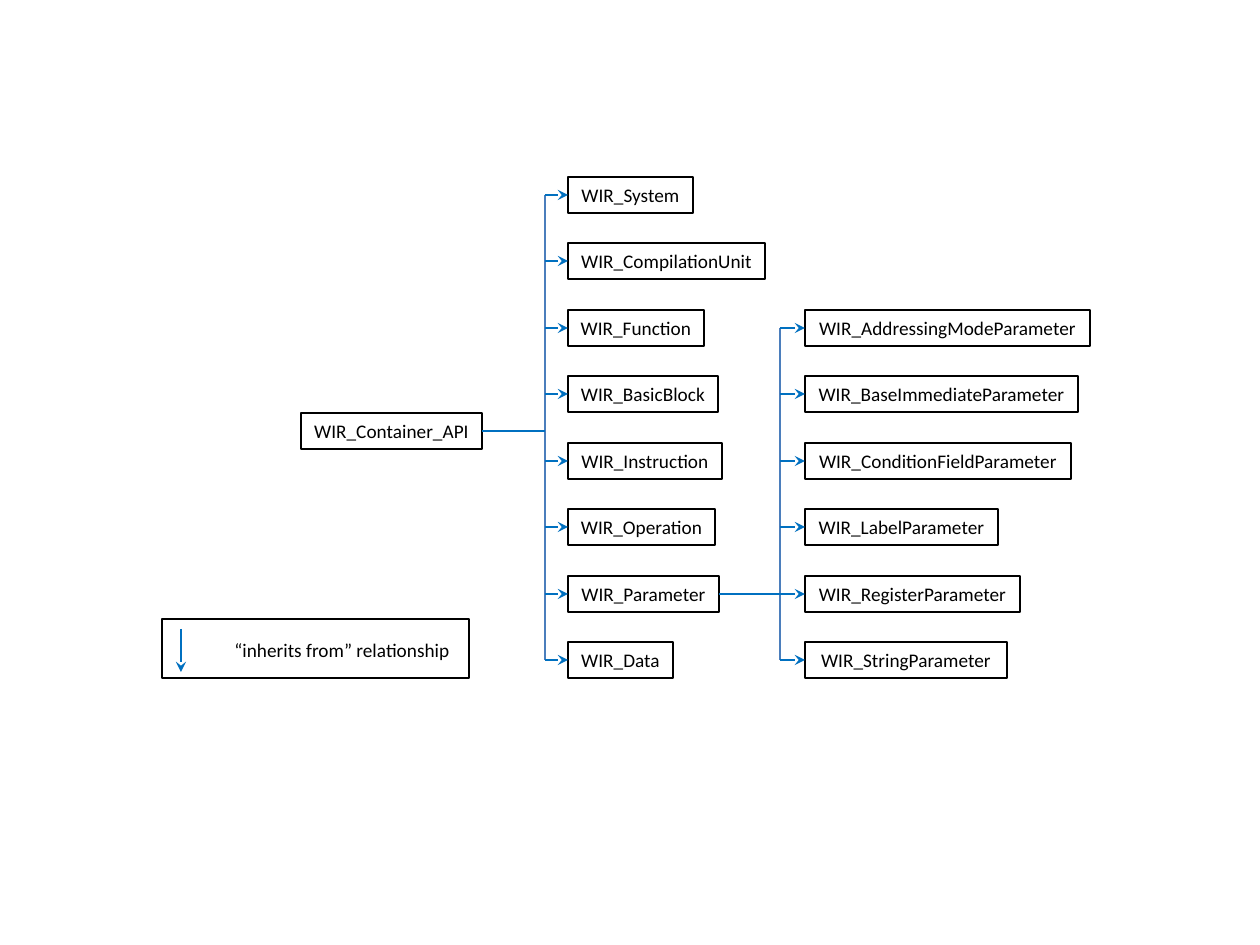
from lxml import etree
from pptx import Presentation
from pptx import util as u
from pptx.dml.color import RGBColor
from pptx.enum import shapes, text
from pptx.oxml.ns import qn

PX = 914400 / 126  # EMU per px
COLORS = {"ink": "000000", "paper": "FFFFFF", "arrow": "0070C0", "trunk": "4B7EBC"}
BOX_HEIGHT = 36
TOP, TWO_ROWS = 177, 133  # first row and the pitch of two rows

# Class names with their box widths, from top to bottom
CONTAINERS = [
    ("WIR_System", 125), ("WIR_CompilationUnit", 197), ("WIR_Function", 136),
    ("WIR_BasicBlock", 150), ("WIR_Instruction", 154), ("WIR_Operation", 147),
    ("WIR_Parameter", 151), ("WIR_Data", 105),
]
PARAMETERS = [
    ("WIR_AddressingModeParameter", 285), ("WIR_BaseImmediateParameter", 273),
    ("WIR_ConditionFieldParameter", 266), ("WIR_LabelParameter", 193),
    ("WIR_RegisterParameter", 215), ("WIR_StringParameter", 202),
]


def px(*lengths):
    return [u.Emu(round(length * PX)) for length in lengths]


def color(name):
    return RGBColor.from_string(COLORS[name])


def write(shape, words, align):
    frame = shape.text_frame
    frame.word_wrap = False
    frame.auto_size = text.MSO_AUTO_SIZE.SHAPE_TO_FIT_TEXT
    paragraph = frame.paragraphs[0]
    paragraph.text = words
    paragraph.alignment = align
    paragraph.font.size = u.Pt(11)
    paragraph.font.name = "Calibri"
    paragraph.font.color.rgb = color("ink")


def add_frame(slide, left, top, width, height):
    frame = slide.shapes.add_shape(shapes.MSO_SHAPE.RECTANGLE, *px(left, top, width, height))
    frame.shadow.inherit = False
    frame.fill.background()
    frame.line.color.rgb = color("ink")
    frame.line.width = u.Pt(1)
    return frame


def add_class(slide, name, left, top, width):
    box = add_frame(slide, left, top, width, BOX_HEIGHT)
    box.fill.solid()
    box.fill.fore_color.rgb = color("paper")
    write(box, name, text.PP_ALIGN.CENTER)
    return box


def add_line(slide, x1, y1, x2, y2, tint="arrow", arrow=False):
    line = slide.shapes.add_connector(shapes.MSO_CONNECTOR.STRAIGHT, *px(x1, y1, x2, y2))
    line.line.color.rgb = color(tint)
    line.line.width = u.Pt(1.25)
    properties = line._element.spPr
    etree.SubElement(properties, qn("a:effectLst"))
    if arrow:
        etree.SubElement(properties.find(qn("a:ln")), qn("a:tailEnd"), type="stealth")
    return line


def row_top(row):
    return TOP + row * TWO_ROWS // 2


def row_middle(row):
    return row_top(row) + BOX_HEIGHT // 2


def add_children(slide, classes, first_row, trunk, left):
    """Draw a column of classes, each reached by an arrow from the trunk."""
    last_row = first_row + len(classes) - 1
    add_line(slide, trunk, row_middle(first_row), trunk, row_middle(last_row), "trunk")
    boxes = {}
    for row, (name, width) in enumerate(classes, first_row):
        boxes[name] = add_class(slide, name, left, row_top(row), width)
        branch = add_line(slide, trunk, row_middle(row), left, row_middle(row), arrow=True)
        branch.end_connect(boxes[name], 1)
    return boxes


def add_stem(slide, parent, right, trunk, middle):
    stem = add_line(slide, right, middle, trunk, middle)
    stem.begin_connect(parent, 3)


def add_legend(slide):
    add_frame(slide, 162, 619, 307, 59)
    add_line(slide, 181, 629, 181, 672, arrow=True)
    label = slide.shapes.add_textbox(*px(222, 632, 242, BOX_HEIGHT))
    write(label, "“inherits from” relationship", text.PP_ALIGN.LEFT)


def main():
    deck = Presentation()
    deck.slide_width, deck.slide_height = px(1260, 945)
    slide = deck.slides.add_slide(deck.slide_layouts[6])

    # Base class and its direct children
    base = add_class(slide, "WIR_Container_API", 301, 413, 181)
    containers = add_children(slide, CONTAINERS, first_row=0, trunk=545, left=568)
    add_stem(slide, base, 482, 545, 431)

    # Kinds of parameter
    add_children(slide, PARAMETERS, first_row=2, trunk=780, left=805)
    add_stem(slide, containers["WIR_Parameter"], 719, 780, row_middle(6))

    add_legend(slide)
    deck.save("out.pptx")


if __name__ == "__main__":
    main()
